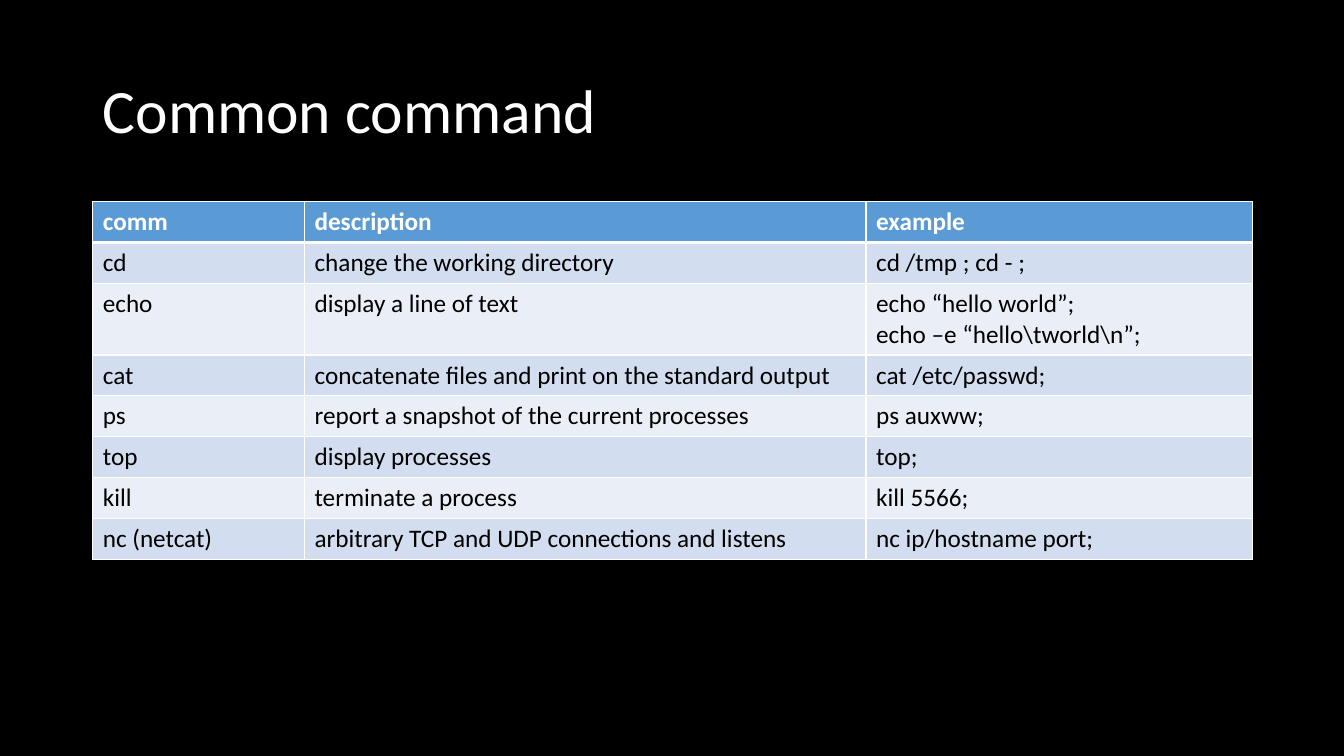
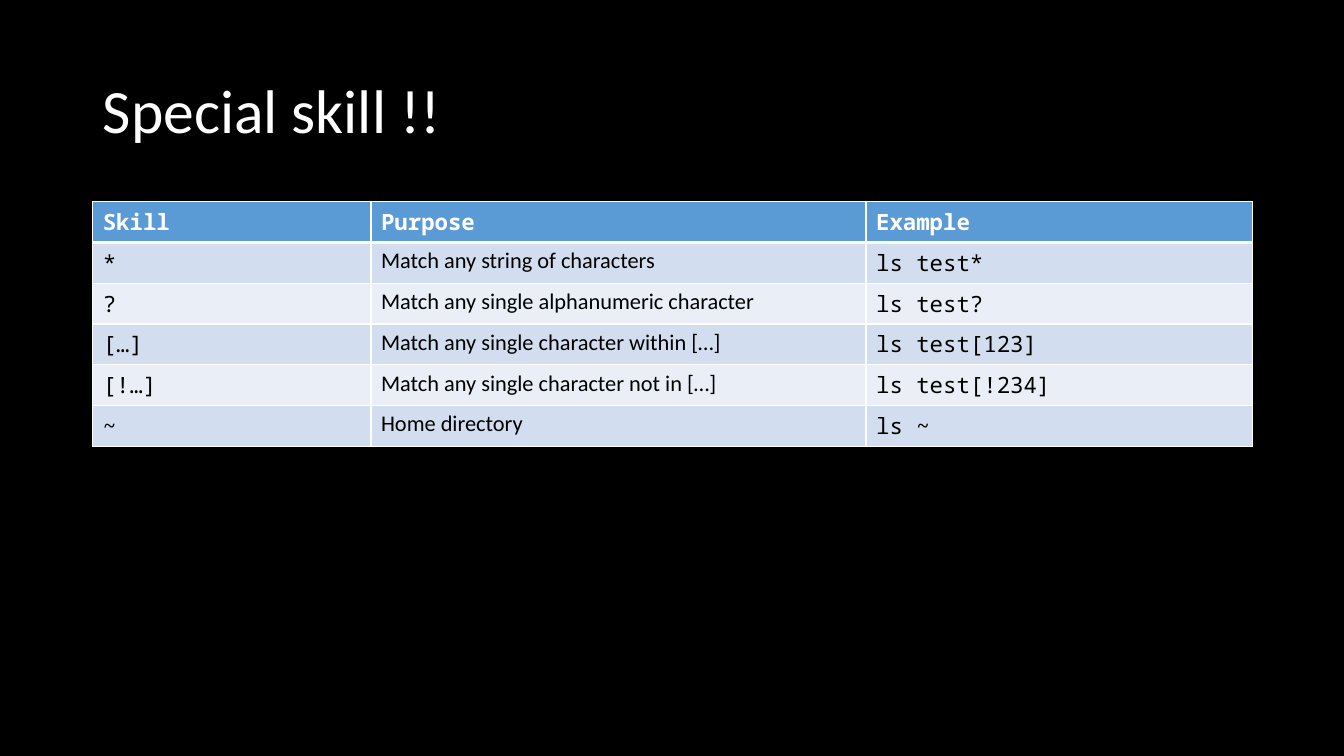
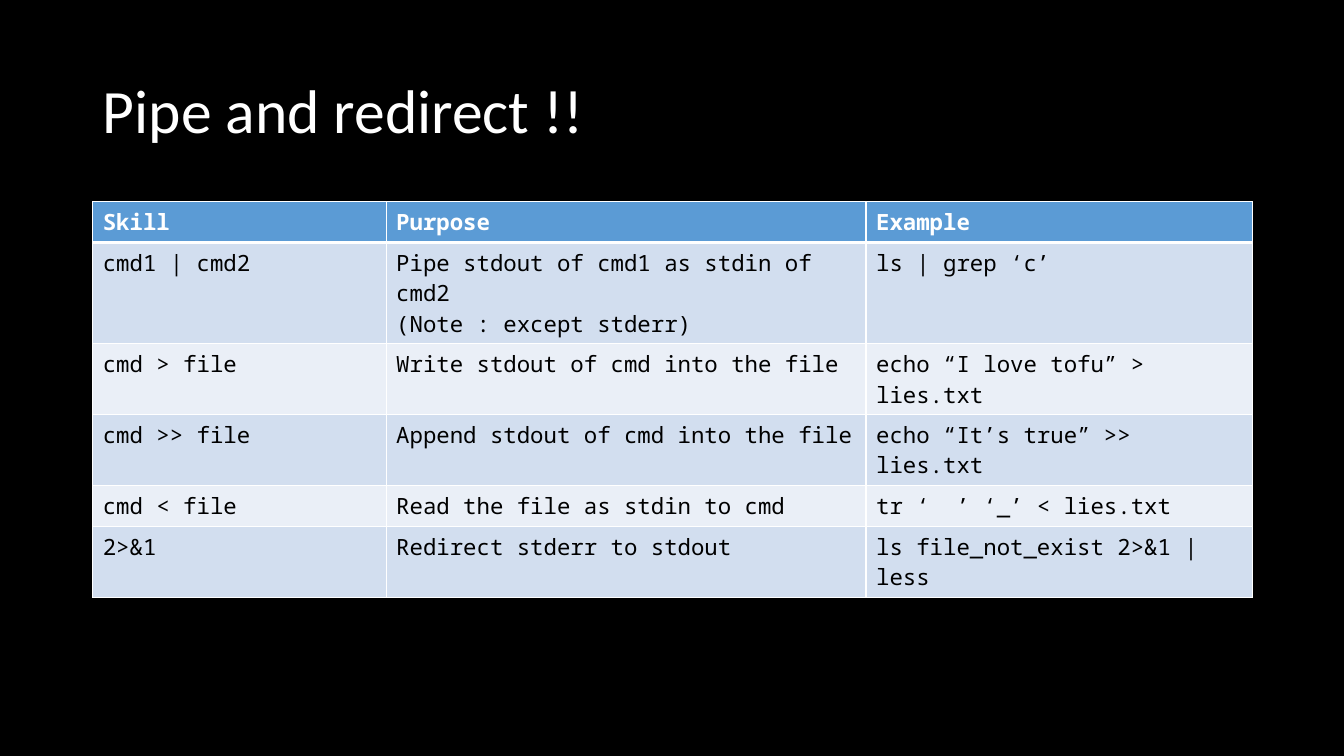
from pptx import Presentation
from pptx.dml.color import RGBColor
from pptx.enum.text import MSO_ANCHOR, PP_ALIGN
from pptx.oxml import parse_xml
from pptx.oxml.ns import nsdecls
from pptx.util import Inches, Pt

BLACK = RGBColor(0x00, 0x00, 0x00)
WHITE = RGBColor(0xFF, 0xFF, 0xFF)
HEADER_BLUE = RGBColor(0x5B, 0x9B, 0xD5)
BAND_DARK = RGBColor(0xD2, 0xDE, 0xEF)
BAND_LIGHT = RGBColor(0xEA, 0xEF, 0xF7)

SANS = "Calibri"
MONO = "Noto Sans Mono"

LEFT = Inches(0.92)
WIDTH = Inches(11.5)
ROW_HEIGHT = Inches(2.43) // 6
THIN, THICK = Pt(1), Pt(3)


class Deck:
    """Holds the shared style and the slide being filled."""

    def __init__(self):
        self.prs = Presentation()
        self.prs.slide_width = Inches(13.33)
        self.prs.slide_height = Inches(7.5)
        background = self.prs.slide_master.background.fill
        background.solid()
        background.fore_color.rgb = BLACK
        self.slide = None

    def add_slide(self, heading):
        self.slide = self.prs.slides.add_slide(self.prs.slide_layouts[5])
        title = self.slide.shapes.title
        title.left, title.top = LEFT, Inches(0.4)
        title.width, title.height = WIDTH, Inches(1.45)
        title.text_frame.text = heading
        title.text_frame.vertical_anchor = MSO_ANCHOR.MIDDLE
        paragraph = title.text_frame.paragraphs[0]
        paragraph.alignment = PP_ALIGN.LEFT
        paragraph.line_spacing = 0.9
        self.style_font(paragraph.font, SANS, 44, WHITE)

    def add_table(self, rows, column_widths, size, header_font, body_fonts):
        """Add a banded table; body_fonts names one font per column."""
        table = self.slide.shapes.add_table(
            len(rows), len(column_widths), LEFT, Inches(2),
            WIDTH, ROW_HEIGHT * len(rows)).table
        for column, width in zip(table.columns, column_widths):
            column.width = Inches(width)
        for row_index, row in enumerate(rows):
            table.rows[row_index].height = ROW_HEIGHT
            is_header = row_index == 0
            if is_header:
                fill = HEADER_BLUE
            else:
                fill = BAND_DARK if row_index % 2 else BAND_LIGHT
            for column_index, text in enumerate(row):
                cell = table.cell(row_index, column_index)
                self.add_borders(cell, row_index)
                cell.fill.solid()
                cell.fill.fore_color.rgb = fill
                cell.text = text
                font_name = header_font if is_header else body_fonts[column_index]
                for paragraph in cell.text_frame.paragraphs:
                    self.style_font(paragraph.font, font_name, size,
                                    WHITE if is_header else BLACK, is_header)

    @staticmethod
    def add_borders(cell, row_index):
        """Draw white cell borders, thick between the header and the body."""
        widths = {"lnL": THIN, "lnR": THIN,
                  "lnT": THICK if row_index == 1 else THIN,
                  "lnB": THICK if row_index == 0 else THIN}
        properties = cell._tc.get_or_add_tcPr()
        for side, width in widths.items():
            line = parse_xml(f'<a:{side} {nsdecls("a")} w="{width}"><a:solidFill>'
                             f'<a:srgbClr val="{WHITE}"/></a:solidFill></a:{side}>')
            properties.append(line)

    @staticmethod
    def style_font(font, name, size, color, bold=False):
        font.name = name
        font.size = Pt(size)
        font.bold = bold
        font.color.rgb = color


COMMANDS = [
    ("comm", "description", "example"),
    ("cd", "change the working directory", "cd /tmp ; cd - ;"),
    ("echo", "display a line of text",
     "echo “hello world”;\necho –e “hello\\tworld\\n”;"),
    ("cat", "concatenate files and print on the standard output",
     "cat /etc/passwd;"),
    ("ps", "report a snapshot of the current processes", "ps auxww;"),
    ("top", "display processes", "top;"),
    ("kill", "terminate a process", "kill 5566;"),
    ("nc (netcat)", "arbitrary TCP and UDP connections and listens",
     "nc ip/hostname port;"),
]

SKILL_HEADER = ("Skill", "Purpose", "Example")

WILDCARDS = [
    SKILL_HEADER,
    ("*", "Match any string of characters", "ls test*"),
    ("?", "Match any single alphanumeric character", "ls test?"),
    ("[…]", "Match any single character within […]", "ls test[123]"),
    ("[!…]", "Match any single character not in […]", "ls test[!234]"),
    ("~", "Home directory", "ls ~"),
]

REDIRECTS = [
    SKILL_HEADER,
    ("cmd1 | cmd2",
     "Pipe stdout of cmd1 as stdin of cmd2\n(Note : except stderr)",
     "ls | grep ‘c’"),
    ("cmd > file", "Write stdout of cmd into the file",
     "echo “I love tofu” > lies.txt"),
    ("cmd >> file", "Append stdout of cmd into the file",
     "echo “It’s true” >> lies.txt"),
    ("cmd < file", "Read the file as stdin to cmd", "tr ‘  ’ ‘_’ < lies.txt"),
    ("2>&1", "Redirect stderr to stdout", "ls file_not_exist 2>&1 | less"),
]


def main():
    deck = Deck()

    deck.add_slide("Common command")
    deck.add_table(COMMANDS, (2.1, 5.57, 3.83), 18, SANS, (SANS, SANS, SANS))

    deck.add_slide("Special skill !!")
    deck.add_table(WILDCARDS, (2.76, 4.91, 3.83), 16, MONO, (MONO, SANS, MONO))

    deck.add_slide("Pipe and redirect !!")
    deck.add_table(REDIRECTS, (2.91, 4.76, 3.83), 16, MONO, (MONO, MONO, MONO))

    deck.prs.save("out.pptx")


if __name__ == "__main__":
    main()
